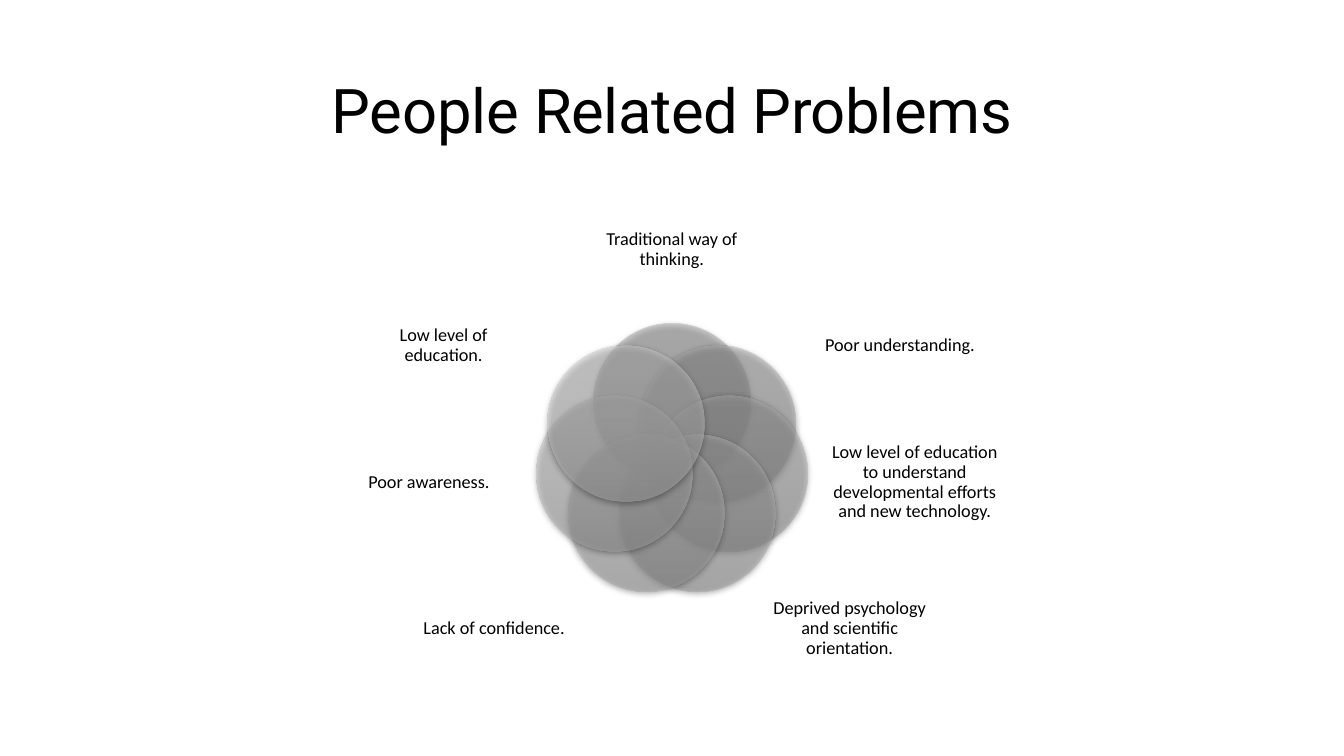
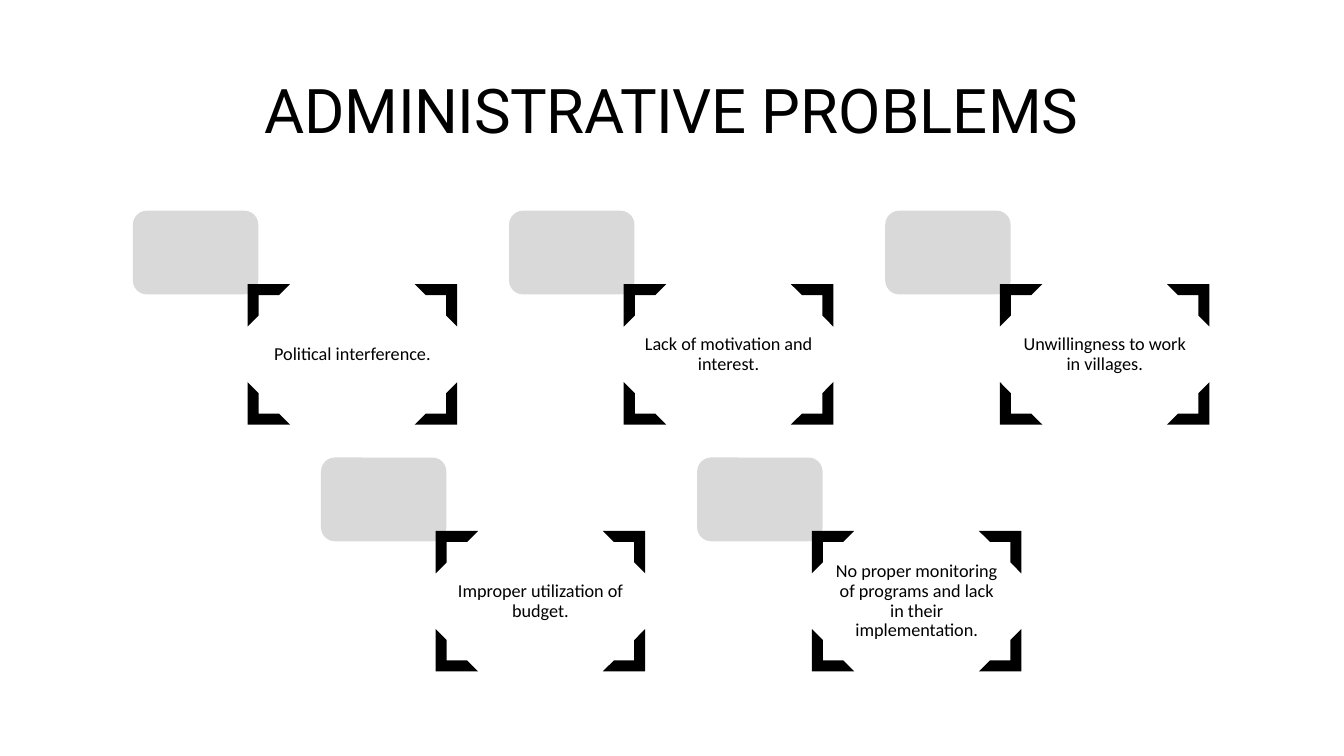
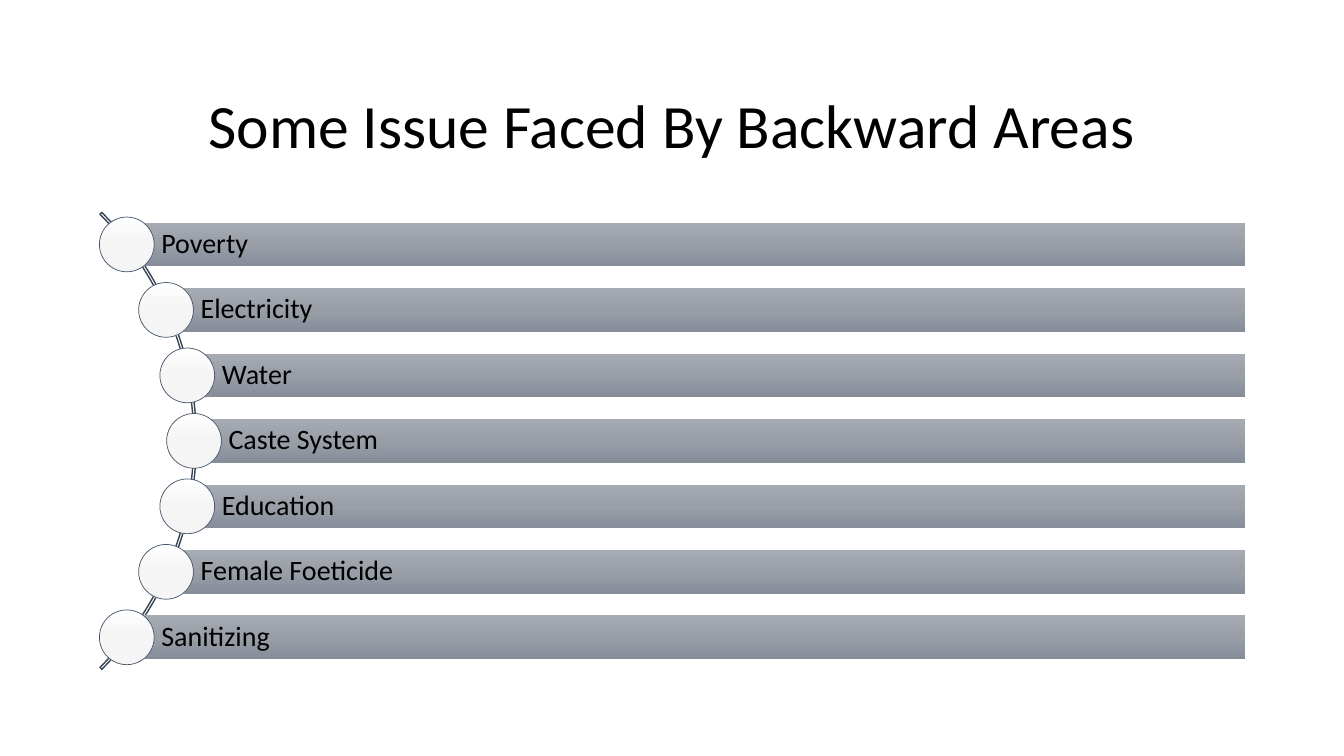
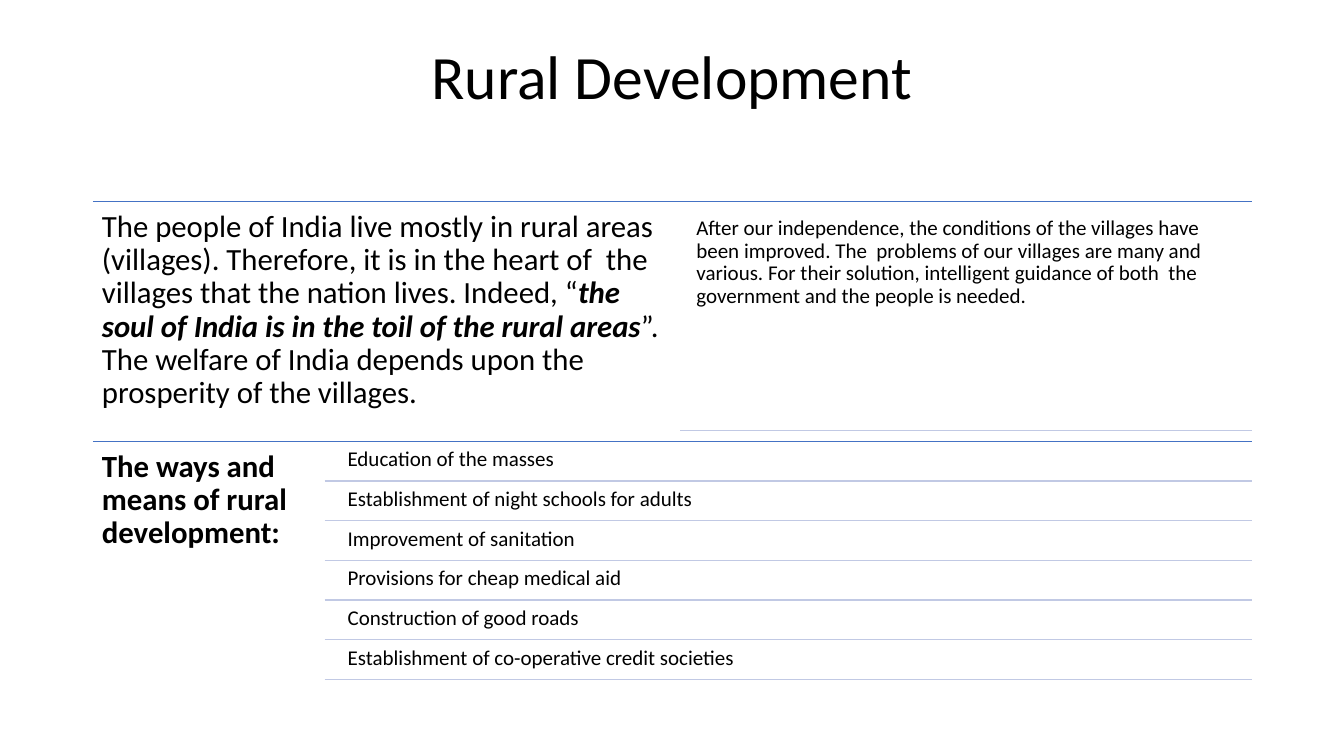
import math

from lxml import etree
from pptx import Presentation
from pptx.enum.shapes import MSO_CONNECTOR, MSO_SHAPE
from pptx.enum.text import MSO_ANCHOR, MSO_AUTO_SIZE, PP_ALIGN
from pptx.dml.color import RGBColor
from pptx.oxml.ns import qn
from pptx.util import Cm, Pt

OVAL = MSO_SHAPE.OVAL
RECTANGLE = MSO_SHAPE.RECTANGLE
ROUNDED = MSO_SHAPE.ROUNDED_RECTANGLE
HALF_FRAME = MSO_SHAPE.HALF_FRAME
BLOCK_ARC = MSO_SHAPE.BLOCK_ARC
STRAIGHT = MSO_CONNECTOR.STRAIGHT
CENTER = PP_ALIGN.CENTER
LEFT = PP_ALIGN.LEFT
TOP = MSO_ANCHOR.TOP
MIDDLE = MSO_ANCHOR.MIDDLE
NO_AUTOFIT = MSO_AUTO_SIZE.NONE

BLACK = "000000"
TILE_GREY = "D9D9D9"
ARC_BLUE = "364355"
DOT_LINE = "44546A"
SECTION_BLUE = "4472C4"
ROW_BLUE = "C1C9E4"
BAR_GRADIENT = ("A5AAB3", "999EA7", "878E9A")
DOT_GRADIENT = ("FEFEFE", "F6F5F5", "F5F4F4")
MIDDLE_X = 16.93


def paint(fill, *colours, alpha=100):
    if len(colours) == 1:
        fill.solid()
        fill.fore_color.rgb = RGBColor.from_string(colours[0])
        return
    fill.gradient()
    fill.gradient_angle = 270
    stops = fill._xPr.find(qn("a:gradFill")).find(qn("a:gsLst"))
    for stop in list(stops):
        stops.remove(stop)
    for index, colour in enumerate(colours):
        position = 100000 * index // (len(colours) - 1)
        stop = etree.SubElement(stops, qn("a:gs"), pos=str(position))
        value = etree.SubElement(stop, qn("a:srgbClr"), val=colour)
        if alpha < 100:
            etree.SubElement(value, qn("a:alpha"), val=str(alpha * 1000))


def write(shape, runs, size, font="Calibri", align=LEFT, anchor=TOP, insets=(0, 0, 0, 0)):
    frame = shape.text_frame
    frame.word_wrap = True
    frame.auto_size = NO_AUTOFIT
    frame.vertical_anchor = anchor
    frame.margin_left, frame.margin_top, frame.margin_right, frame.margin_bottom = map(Cm, insets)
    paragraph = frame.paragraphs[0]
    paragraph.alignment = align
    paragraph.line_spacing = 0.9
    for text, emphasis, tracking in runs:
        run = paragraph.add_run()
        run.text = text
        run.font.name = font
        run.font.size = Pt(size)
        run.font.bold = "b" in emphasis
        run.font.italic = "i" in emphasis
        paint(run.font.fill, BLACK)
        if tracking:
            run.font._element.set("spc", str(tracking))


presentation = Presentation()
presentation.slide_width = Cm(33.87)
presentation.slide_height = Cm(19.05)

titles = [
    ([("People ", "", -20), ("Related Problems", "", -30)], "Roboto", 1.02, 3.68),
    ([("ADMINISTRATIVE ", "", -30), ("PROBLEMS", "", 10)], "Roboto", 1.02, 3.68),
    ([("Some Issue Faced By Backward Areas", "", 0)], "Calibri", 1.4, 3.68),
    ([("Rural Development", "", 0)], "Calibri", 1.02, 1.96),
]
slides = []
for runs, font, top, height in titles:
    slide = presentation.slides.add_slide(presentation.slide_layouts[5])
    title = slide.shapes.title
    title.left, title.top, title.width, title.height = Cm(2.33), Cm(top), Cm(29.21), Cm(height)
    write(title, runs, 44, font, CENTER, MIDDLE, (0.25, 0.13, 0.25, 0.13))
    slides.append(slide)
people_slide, administration_slide, issues_slide, development_slide = slides

petal_size = 3.94
ring_radius = 1.48
ring_y = 11.6
petals = [
    ("Traditional way of thinking.", 0, 5.08, 4.52, 2.41, ("A1A1A1", "969696", "858585")),
    ("Poor understanding.", 5.75, 7.37, 4.27, 2.67, ("A9A9A9", "9E9E9E", "8C8C8C")),
    ("Low level of education to understand developmental efforts and new technology.",
     6.12, 10.74, 4.19, 2.84, ("B0B0B0", "A6A6A6", "939393")),
    ("Deprived psychology and scientific orientation.",
     4.48, 14.55, 4.52, 2.59, ("B7B7B7", "AEAEAE", "9B9B9B")),
    ("Lack of confidence.", -4.48, 14.55, 4.52, 2.59, ("BFBFBF", "B6B6B6", "A2A2A2")),
    ("Poor awareness.", -6.12, 10.74, 4.19, 2.84, ("C6C6C6", "BEBEBE", "A9A9A9")),
    ("Low level of education.", -5.75, 7.37, 4.27, 2.67, ("CECECE", "C6C6C6", "B0B0B0")),
]
for index, (text, offset, top, width, height, colours) in enumerate(petals):
    angle = 2 * math.pi * index / len(petals)
    left = MIDDLE_X + ring_radius * math.sin(angle) - petal_size / 2
    petal_top = ring_y - ring_radius * math.cos(angle) - petal_size / 2
    petal = people_slide.shapes.add_shape(
        OVAL, Cm(left), Cm(petal_top), Cm(petal_size), Cm(petal_size))
    paint(petal.fill, *colours, alpha=50)
    petal.line.fill.background()
    effects = etree.SubElement(petal._element.spPr, qn("a:effectLst"))
    shadow = etree.SubElement(
        effects, qn("a:outerShdw"), blurRad=str(Pt(4.5)), dist=str(Pt(1.5)),
        dir="5400000", rotWithShape="0")
    shadow_colour = etree.SubElement(shadow, qn("a:srgbClr"), val=BLACK)
    etree.SubElement(shadow_colour, qn("a:alpha"), val="63000")
    label = people_slide.shapes.add_textbox(
        Cm(MIDDLE_X + offset - width / 2), Cm(top), Cm(width), Cm(height))
    write(label, [(text, "", 0)], 13, align=CENTER, anchor=MIDDLE)

column_pitch = 9.48
row_pitch = 6.22
frame_width = 5.28
frame_height = 3.54
corner_size = 1.07
problem_rows = [
    (3.35, ["Political interference.", "Lack of motivation and interest.",
            "Unwillingness to work in villages."]),
    (3.35 + column_pitch / 2, ["Improper utilization of budget.",
                               "No proper monitoring of programs and lack in their implementation."]),
]
corners = [
    (0, 0, 0),
    (frame_width - corner_size, 0, 90),
    (0, frame_height - corner_size, 270),
    (frame_width - corner_size, frame_height - corner_size, 180),
]
for row, (row_left, problems) in enumerate(problem_rows):
    for column, text in enumerate(problems):
        left = row_left + column * column_pitch
        top = 5.31 + row * row_pitch
        tile = administration_slide.shapes.add_shape(ROUNDED, Cm(left), Cm(top), Cm(3.16), Cm(2.11))
        tile.shadow.inherit = False
        paint(tile.fill, TILE_GREY)
        tile.line.fill.background()
        label = administration_slide.shapes.add_textbox(
            Cm(left + 3.29), Cm(top + 2.24), Cm(4.48), Cm(2.77))
        write(label, [(text, "", 0)], 13, align=CENTER, anchor=MIDDLE, insets=(0.13,) * 4)
        for corner_x, corner_y, rotation in corners:
            corner = administration_slide.shapes.add_shape(
                HALF_FRAME, Cm(left + 2.89 + corner_x), Cm(top + 1.85 + corner_y),
                Cm(corner_size), Cm(corner_size))
            corner.adjustments[0] = 0.26
            corner.adjustments[1] = 0.26
            corner.rotation = rotation
            corner.shadow.inherit = False
            paint(corner.fill, BLACK)
            corner.line.fill.background()

arc_x = -3.19
arc_y = 11.11
arc_size = 16.28
dot_radius = 8.08
dot_size = 1.38
bar_pitch = 1.65
bar_height = 1.1
bar_right = 31.38
arc = issues_slide.shapes.add_shape(
    BLOCK_ARC, Cm(arc_x - arc_size / 2), Cm(arc_y - arc_size / 2), Cm(arc_size), Cm(arc_size))
for index, adjustment in enumerate((189, 27, 0.004)):
    arc.adjustments[index] = adjustment
arc.shadow.inherit = False
arc.fill.background()
paint(arc.line.fill, ARC_BLUE)
arc.line.width = Pt(1)

issues = ["Poverty", "Electricity", "Water", "Caste System", "Education",
          "Female Foeticide", "Sanitizing"]
for index, text in enumerate(issues):
    rise = (index - len(issues) // 2) * bar_pitch
    center_x = arc_x + math.sqrt(dot_radius ** 2 - rise ** 2)
    center_y = arc_y + rise
    bar = issues_slide.shapes.add_shape(
        RECTANGLE, Cm(center_x), Cm(center_y - bar_height / 2),
        Cm(bar_right - center_x), Cm(bar_height))
    bar.shadow.inherit = False
    paint(bar.fill, *BAR_GRADIENT)
    bar.line.fill.background()
    write(bar, [(text, "", 0)], 20, anchor=MIDDLE, insets=(0.87, 0.15, 0.15, 0.15))
    dot = issues_slide.shapes.add_shape(
        OVAL, Cm(center_x - dot_size / 2), Cm(center_y - dot_size / 2), Cm(dot_size), Cm(dot_size))
    dot.shadow.inherit = False
    paint(dot.fill, *DOT_GRADIENT)
    paint(dot.line.fill, DOT_LINE)
    dot.line.width = Pt(0.5)

ways = ["Education of the masses", "Establishment of night schools for adults",
        "Improvement of sanitation", "Provisions for cheap medical aid",
        "Construction of good roads", "Establishment of co-operative credit societies"]
rules = [(2.34, 5.08, SECTION_BLUE), (17.15, 10.85, ROW_BLUE), (2.34, 11.13, SECTION_BLUE)]
rules += [(8.18, 12.12 + index, ROW_BLUE) for index in range(len(ways))]
for left, y, colour in rules:
    rule = development_slide.shapes.add_connector(STRAIGHT, Cm(left), Cm(y), Cm(31.54), Cm(y))
    paint(rule.line.fill, colour)
    rule.line.width = Pt(1)
    etree.SubElement(rule._element.spPr, qn("a:effectLst"))

passages = [
    (2.34, 5.08, 14.81, 6.05, 22, 0.23, [
        ("The people of India live mostly in rural areas (villages). Therefore, it is in the "
         "heart of  the villages that the nation lives. Indeed, “", "", 0),
        ("the soul of India is in the toil of the rural areas", "bi", 0),
        ("”.  The welfare of India depends upon the prosperity of the villages.", "", 0)]),
    (17.4, 5.33, 14.1, 5.49, 15, 0.15, [
        ("After our independence, the conditions of the villages have been improved. The  "
         "problems of our villages are many and various. For their solution, intelligent "
         "guidance of both  the government and the people is needed.", "", 0)]),
    (2.34, 11.13, 5.84, 6.05, 22, 0.23, [("The ways and means of rural development:", "b", 0)]),
]
passages += [(8.61, 11.16 + index, 22.94, 0.95, 15, 0.15, [(text, "", 0)])
             for index, text in enumerate(ways)]
for left, top, width, height, size, inset, runs in passages:
    passage = development_slide.shapes.add_textbox(Cm(left), Cm(top), Cm(width), Cm(height))
    write(passage, runs, size, insets=(inset,) * 4)

presentation.save("out.pptx")
